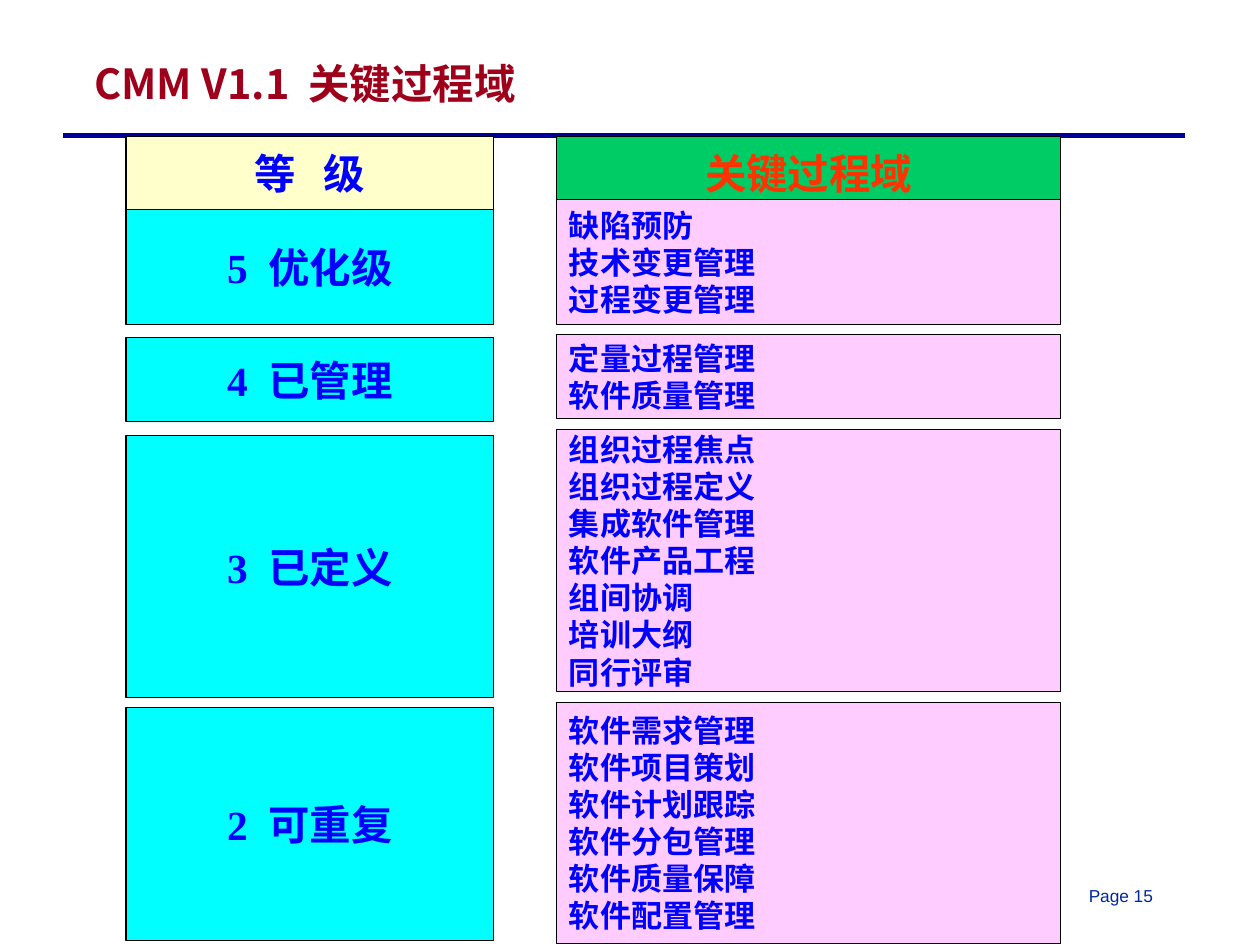
import pptx
import pptx.dml.color
import pptx.enum.shapes
import pptx.enum.text
import pptx.oxml
import pptx.oxml.ns
import pptx.util

RGBColor = pptx.dml.color.RGBColor
ALIGN = pptx.enum.text.PP_ALIGN
MIDDLE = pptx.enum.text.MSO_ANCHOR.MIDDLE

EMU_PER_PX = 7356
NAVY = RGBColor(0x00, 0x00, 0x99)
PAGE_BLUE = RGBColor(0x00, 0x27, 0x9F)
DARK_RED = RGBColor(0x9E, 0x00, 0x1B)
BLACK = RGBColor(0x00, 0x00, 0x00)
BLUE = RGBColor(0x00, 0x00, 0xFF)
ORANGE_RED = RGBColor(0xFF, 0x33, 0x00)
CREAM = RGBColor(0xFF, 0xFF, 0xCC)
GREEN = RGBColor(0x00, 0xCC, 0x66)
CYAN = RGBColor(0x00, 0xFF, 0xFF)
PINK = RGBColor(0xFF, 0xCC, 0xFF)
CHINESE_FONT = "Noto Sans CJK SC"

LEVEL_COLUMN = (126, 368)
AREA_COLUMN = (557, 504)
HEADER_ROW = (137, 73)

# level, its top and height, its process areas, their top and height
MATURITY_LEVELS = [
    ("5  优化级", (210, 115),
     ["缺陷预防", "技术变更管理", "过程变更管理"], (200, 125)),
    ("4  已管理", (338, 84),
     ["定量过程管理", "软件质量管理"], (335, 84)),
    ("3  已定义", (436, 262),
     ["组织过程焦点", "组织过程定义", "集成软件管理", "软件产品工程",
      "组间协调", "培训大纲", "同行评审"], (430, 262)),
    ("2  可重复", (708, 233),
     ["软件需求管理", "软件项目策划", "软件计划跟踪", "软件分包管理",
      "软件质量保障", "软件配置管理"], (703, 241)),
]


def px(length):
    return pptx.util.Emu(length * EMU_PER_PX)


def write_text(shape, lines, *, size, color, font="Times New Roman", bold=True,
               align=ALIGN.LEFT, anchor=MIDDLE, spacing=None):
    """Fill the shape with one paragraph per line; spacing is in points."""
    frame = shape.text_frame
    frame.word_wrap = True
    frame.vertical_anchor = anchor
    frame.text = "\n".join(lines)
    for paragraph in frame.paragraphs:
        paragraph.alignment = align
        if spacing:
            paragraph.line_spacing = pptx.util.Pt(spacing)
        for run in paragraph.runs:
            run.font.size = pptx.util.Pt(size)
            run.font.bold = bold
            run.font.name = font
            run.font.color.rgb = color
            east_asian = pptx.oxml.parse_xml(
                f'<a:ea {pptx.oxml.ns.nsdecls("a")} typeface="{CHINESE_FONT}"/>')
            run.font._element.find(pptx.oxml.ns.qn("a:latin")).addnext(east_asian)


def add_box(slide, column, row, fill, lines, **text_format):
    (left, width), (top, height) = column, row
    box = slide.shapes.add_shape(
        pptx.enum.shapes.MSO_SHAPE.RECTANGLE,
        px(left), px(top), px(width), px(height))
    box.shadow.inherit = False
    box.fill.solid()
    box.fill.fore_color.rgb = fill
    box.line.color.rgb = BLACK
    box.line.width = pptx.util.Pt(0.75)
    write_text(box, lines, **text_format)


def add_rule(slide, left, right, y):
    rule = slide.shapes.add_connector(
        pptx.enum.shapes.MSO_CONNECTOR.STRAIGHT, px(left), px(y), px(right), px(y))
    rule.line.color.rgb = NAVY
    rule.line.width = pptx.util.Pt(3)
    rule._element.spPr.append(pptx.oxml.parse_xml(
        f'<a:effectLst {pptx.oxml.ns.nsdecls("a")}/>'))


def add_title(slide, text):
    title = slide.shapes.title
    title.left, title.top, title.width, title.height = map(px, (82, 52, 1072, 62))
    write_text(title, [text], size=24, color=DARK_RED, font=CHINESE_FONT)


def add_page_number(slide, text):
    page_number = slide.shapes.add_textbox(*map(px, (1077, 880, 93, 34)))
    write_text(page_number, [text], size=10, color=PAGE_BLUE, font="Arial",
               bold=False, anchor=pptx.enum.text.MSO_ANCHOR.TOP)


def main():
    deck = pptx.Presentation()
    deck.slide_width = pptx.util.Inches(10.14)
    deck.slide_height = pptx.util.Inches(7.6)
    slide = deck.slides.add_slide(deck.slide_layouts.get_by_name("Title Only"))

    add_rule(slide, 63, 1186, 136)
    add_page_number(slide, "Page 15")
    add_title(slide, "CMM V1.1  关键过程域")

    heading = {"size": 24, "align": ALIGN.CENTER}
    add_box(slide, LEVEL_COLUMN, HEADER_ROW, CREAM, ["等   级"], color=BLUE, **heading)
    add_box(slide, AREA_COLUMN, HEADER_ROW, GREEN, ["关键过程域"],
            color=ORANGE_RED, **heading)
    for level, level_row, areas, area_row in MATURITY_LEVELS:
        add_box(slide, LEVEL_COLUMN, level_row, CYAN, [level], color=BLUE, **heading)
        add_box(slide, AREA_COLUMN, area_row, PINK, areas,
                size=18, color=BLUE, spacing=21.5)

    deck.save("out.pptx")


if __name__ == "__main__":
    main()
